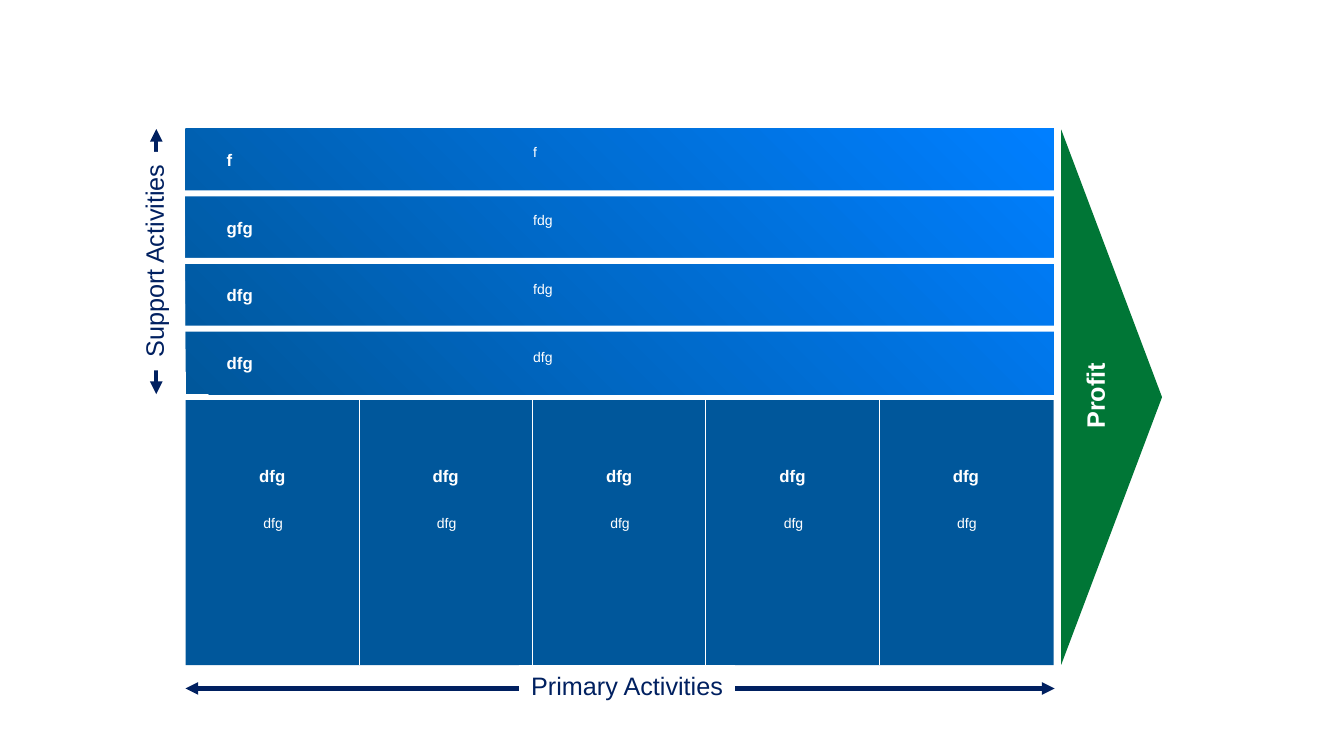
from lxml import etree
from pptx import Presentation
from pptx import util as u
from pptx.dml.color import RGBColor
from pptx.enum import shapes, text
from pptx.oxml.ns import qn

PX = 9144  # 100 px to the inch
WHITE = RGBColor(0xFF, 0xFF, 0xFF)
NAVY = RGBColor(0x00, 0x20, 0x60)
BLUE = RGBColor(0x00, 0x57, 0x9B)
BRIGHT_BLUE = RGBColor(0x00, 0x7F, 0xFF)
GREEN = RGBColor(0x00, 0x76, 0x36)

deck = Presentation()
deck.slide_width, deck.slide_height = 1333 * PX, 750 * PX
canvas = deck.slides.add_slide(deck.slide_layouts[6]).shapes


def add_block(box, fill=None, preset=shapes.MSO_SHAPE.RECTANGLE, rotation=0):
    block = canvas.add_shape(preset, *[n * PX for n in box])
    block.shadow.inherit = False
    block.line.fill.background()
    block.rotation = rotation
    if fill is not None:
        block.fill.solid()
        block.fill.fore_color.rgb = fill
    return block


def write(holder, wording, size, color=WHITE, bold=False, centred=False, wrap=True):
    frame = holder.text_frame
    frame.text = wording
    frame.word_wrap = wrap
    frame.auto_size = text.MSO_AUTO_SIZE.SHAPE_TO_FIT_TEXT
    paragraph = frame.paragraphs[0]
    paragraph.alignment = text.PP_ALIGN.CENTER if centred else text.PP_ALIGN.LEFT
    font = paragraph.runs[0].font
    font.name, font.size, font.bold = "Arial", u.Pt(size), bold
    font.color.rgb = color


# Axis arrows, then support band with white gaps, then primary block with dividers
axes = [(155, 128, 155, 391), (184, 683, 1046, 683)]
dividers = [(184 + 172 * i, 397, 184 + 172 * i, 660) for i in range(1, 5)]
for ends in axes + dividers:
    if ends == dividers[0]:
        support = add_block((184, 128, 861, 263))
        support.fill.gradient()
        support.fill.gradient_angle = 45
        for stop, color in zip(support.fill.gradient_stops, (BLUE, BRIGHT_BLUE)):
            stop.color.rgb = color
        for stop, position in zip(support.fill.gradient_stops, (0, 1)):
            stop.position = position
        for i in range(3):
            add_block((149, 189 + 67 * i, 898, 6), WHITE)
        add_block((184, 397, 861, 263), BLUE)
    is_axis = ends in axes
    rule = canvas.add_connector(shapes.MSO_CONNECTOR.STRAIGHT, *[n * PX for n in ends])
    rule.line.width = u.Pt(3 if is_axis else 0.5)
    rule.line.color.rgb = NAVY if is_axis else WHITE
    if is_axis:
        outline = rule.line._get_or_add_ln()
        for end in ("a:headEnd", "a:tailEnd"):
            etree.SubElement(outline, qn(end), type="triangle")
    etree.SubElement(rule._element.spPr, qn("a:effectLst"))

add_block((837, 344, 531, 100), GREEN, shapes.MSO_SHAPE.ISOSCELES_TRIANGLE, 90)

support_rows = [("f", "f"), ("gfg", "fdg"), ("dfg", "fdg"), ("dfg", "dfg")]
for i, (heading, detail) in enumerate(support_rows):
    heading_box = canvas.add_textbox(215 * PX, (144 + 67 * i) * PX, 275 * PX, 30 * PX)
    write(heading_box, heading, 12, bold=True)
    detail_box = canvas.add_textbox(519 * PX, (137 + 68 * i) * PX, 479 * PX, 27 * PX)
    write(detail_box, detail, 10)

primary_columns = [("dfg", "dfg")] * 5
for i, (heading, detail) in enumerate(primary_columns):
    left = 184 + 172 * i
    heading_box = canvas.add_textbox(left * PX, 457 * PX, 172 * PX, 30 * PX)
    write(heading_box, heading, 12, bold=True, centred=True)
    detail_box = canvas.add_textbox((left + 2) * PX, 506 * PX, 170 * PX, 27 * PX)
    write(detail_box, detail, 10, centred=True)

for wording, box, rotation in [
    ("Primary Activities", (515, 660, 214, 40), 0),
    ("Support Activities", (44, 239, 217, 40), 270),
]:
    axis_label = add_block(box, WHITE, rotation=rotation)
    write(axis_label, wording, 18, NAVY, centred=True, wrap=False)

profit = canvas.add_textbox(1043 * PX, 372 * PX, 86 * PX, 40 * PX)
profit.rotation = 270
write(profit, "Profit", 18, bold=True, wrap=False)

deck.save("out.pptx")
